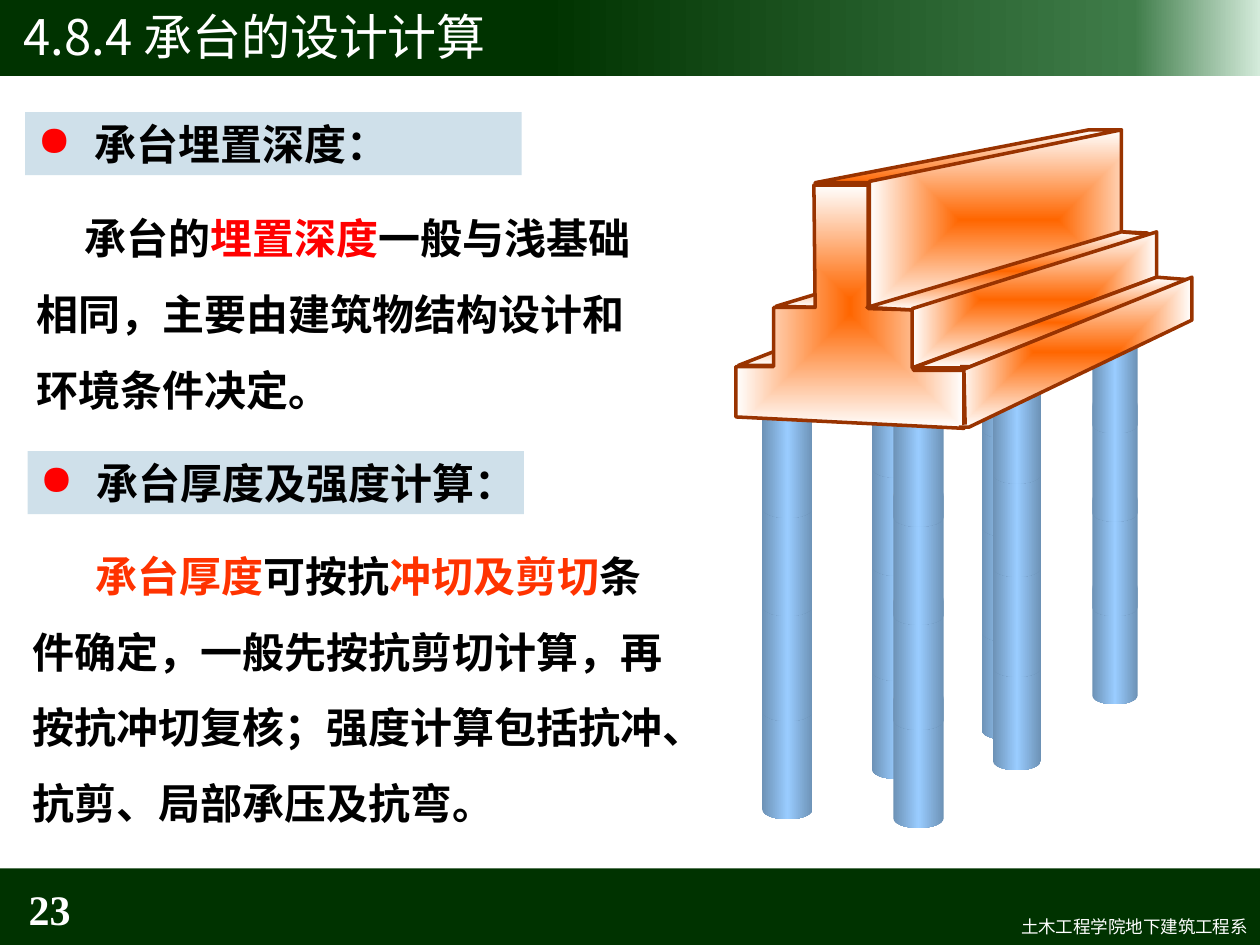
from pptx import Presentation
from pptx.dml.color import RGBColor
from pptx.enum.shapes import MSO_SHAPE
from pptx.enum.text import MSO_ANCHOR, PP_ALIGN
from pptx.oxml import parse_xml
from pptx.oxml.ns import nsdecls, qn
from pptx.util import Pt

RECT, CAN = MSO_SHAPE.RECTANGLE, MSO_SHAPE.CAN
TOP, MID = MSO_ANCHOR.TOP, MSO_ANCHOR.MIDDLE
LEFT, RIGHT = PP_ALIGN.LEFT, PP_ALIGN.RIGHT

THEME = {
    "sans": "Noto Sans CJK SC", "serif": "Times New Roman",
    "title": 28, "body": 24, "foot": 10,
    "dark": "003300", "white": "FFFFFF", "black": "000000",
    "red": "FF0000", "orange": "FF3300", "panel": "CFE0EA", "edge": "993300",
    "bar": [(43, "003300"), (90, "3F7C49"), (100, "D4EBDB")],
    "pile": [(0, "6D92B6"), (50, "99CCFF"), (100, "6D92B6")],
    "glow": [(0, "FF6600"), (100, "FFFFFF")],
    "top": [(0, "FFFFFF"), (100, "FF6600")],
}

TITLE = [("4.8.4 承台的设计计算", "white")]
NUMBER = [("23", "white")]
FOOTER = [("土木工程学院地下建筑工程系", "white")]
HEADS = [  # left, top, words
    (14.4, 64.1, "承台埋置深度："),
    (15.8, 257.8, "承台厚度及强度计算："),
]
BODIES = [  # box, first-line indent, runs
    ((13.7, 103.7, 358.6, 150.5), 27.5, [
        ("承台的", "black"), ("埋置深度", "red"),
        ("一般与浅基础相同，主要由建筑物结构设计和环境条件决定。", "black")]),
    ((11.5, 296.6, 375.1, 181.4), 36, [
        ("承台厚度", "orange"), ("可按抗", "black"), ("冲切及剪切", "orange"),
        ("条件确定，一般先按抗剪切计算，再按抗冲切复核；"
         "强度计算包括抗冲、抗剪、局部承压及抗弯。", "black")]),
]

PILES = [  # left, top, width; from back to front
    (560.9, 170.6, 28.8), (624.2, 175.7, 25.9), (498.2, 193, 28.8),
    (567.4, 200.2, 27.4), (435.6, 216, 28.8), (510.5, 221, 28.8),
]
STEPS = (2.15, 1.45, 0.7, 0)  # drum offsets in drum heights, lowest first
DRUM = 2.78  # drum height over width

FACES = [  # fill, closed, corners; from back to front
    ("glow", True, [(470.2, 175.7), (443.5, 175), (589, 131), (606.2, 132.5)]),
    ("glow", False, [(450.7, 208.8), (421.9, 208.8), (555.1, 157),
                     (571.7, 158.4), (453.6, 208.1), (447.8, 208.1)]),
    ("top", True, [(497.5, 104.4), (465.8, 104.4), (622.1, 74.2), (640.8, 74.2)]),
    ("glow", True, [(506.9, 177.1), (496.8, 176.4), (496.8, 103.7),
                    (640.8, 74.2), (640.8, 132.5), (655.9, 133.2)]),
    ("glow", True, [(496.1, 176.4), (496.1, 105.8), (465.1, 105.8),
                    (465.8, 175.7), (442.1, 175.7), (442.1, 209.5),
                    (420.5, 209.5), (420.5, 238.3), (550.8, 244.8),
                    (550.8, 211.7), (522, 211.7), (522, 177.1)]),
    ("glow", True, [(521.3, 177.1), (495.4, 175.7), (640.8, 132.5), (657.4, 133.9)]),
    ("glow", True, [(521.3, 210.2), (521.3, 176.4), (661, 132.5), (661, 158.4)]),
    ("glow", False, [(551.5, 210.2), (522, 210.2), (661, 158.4),
                     (679, 159.8), (554.4, 209.5), (548.6, 209.5)]),
    ("glow", False, [(551.5, 242.6), (550.8, 211), (681.1, 158.4),
                     (681.1, 182.9), (553.7, 244.1), (547.9, 244.1)]),
]


def color(name):
    return RGBColor.from_string(THEME[name])


def shade(shape, name):
    """Fill with a theme gradient: "glow" spreads from the centre, others run straight."""
    stops = "".join(f'<a:gs pos="{pos * 1000}"><a:srgbClr val="{rgb}"/></a:gs>'
                    for pos, rgb in THEME[name])
    if name == "glow":
        way = ('<a:path path="rect"><a:fillToRect l="50000" t="50000" '
               'r="50000" b="50000"/></a:path>')
    else:
        way = f'<a:lin ang="{5400000 if name == "top" else 0}" scaled="0"/>'
    shape.fill.gradient()
    props = shape.element.spPr
    props.replace(props.find(qn("a:gradFill")), parse_xml(
        f'<a:gradFill {nsdecls("a")} rotWithShape="1">'
        f'<a:gsLst>{stops}</a:gsLst>{way}</a:gradFill>'))


def block(shapes, kind, box, fill):
    shape = shapes.add_shape(kind, *map(Pt, box))
    shape.shadow.inherit = False
    shape.line.fill.background()
    if isinstance(THEME[fill], list):
        shade(shape, fill)
    else:
        shape.fill.solid()
        shape.fill.fore_color.rgb = color(fill)
    return shape


def write(shape, runs, size, face="sans", bold=False, align=LEFT, anchor=TOP,
          margin=0, indent=0, space=None, bullet=None):
    frame = shape.text_frame
    frame.word_wrap = True
    frame.vertical_anchor = anchor
    para = frame.paragraphs[0]
    para.alignment = align
    props = para._p.get_or_add_pPr()
    props.set("marL", str(Pt(margin)))
    props.set("indent", str(Pt(indent)))
    if bullet:
        props.append(parse_xml(f'<a:buClr {nsdecls("a")}>'
                               f'<a:srgbClr val="{THEME["red"]}"/></a:buClr>'))
        props.append(parse_xml(f'<a:buChar {nsdecls("a")} char="{bullet}"/>'))
    if space:
        para.line_spacing = space
    font = para.font
    font.name, font.size, font.bold = THEME[face], Pt(THEME[size]), bold
    props.find(qn("a:defRPr")).append(parse_xml(
        f'<a:ea {nsdecls("a")} typeface="{THEME["sans"]}"/>'))
    for words, tint in runs:
        run = para.add_run()
        run.text = words
        run.font.color.rgb = color(tint)


def label(shapes, box, runs, size, **style):
    write(shapes.add_textbox(*map(Pt, box)), runs, size, **style)


def draw_piles(shapes):
    for left, top, width in PILES:
        high = width * DRUM
        for step in STEPS:
            drum = block(shapes, CAN, (left, top + step * high, width, high), "pile")
            drum.adjustments[0] = 0.384


def draw_cap(shapes):
    for fill, closed, corners in FACES:
        first, *rest = [(Pt(x), Pt(y)) for x, y in corners]
        pen = shapes.build_freeform(*first)
        pen.add_line_segments(rest, close=closed)
        face = pen.convert_to_shape()
        face.shadow.inherit = False
        shade(face, fill)
        face.line.color.rgb = color("edge")
        face.line.width = Pt(2)


def main():
    deck = Presentation()
    deck.slide_width, deck.slide_height = Pt(720), Pt(540)
    shapes = deck.slides.add_slide(deck.slide_layouts[6]).shapes

    block(shapes, RECT, (0, -2.2, 720, 45.7), "bar")
    block(shapes, RECT, (0, 496.3, 720, 43.7), "dark")
    label(shapes, (303, 519.8, 417, 19.4), FOOTER, "foot", align=RIGHT)
    label(shapes, (0, -2.2, 720, 45.4), TITLE, "title", anchor=MID, margin=6.5)
    label(shapes, (0, 504.7, 47.5, 28.8), NUMBER, "body", face="serif",
          bold=True, align=RIGHT, anchor=MID)

    draw_piles(shapes.add_group_shape().shapes)
    draw_cap(shapes.add_group_shape().shapes)

    for box, indent, runs in BODIES:
        label(shapes, box, runs, "body", face="serif", bold=True,
              indent=indent, space=1.5)
    for left, top, words in HEADS:
        panel = block(shapes, RECT, (left, top, 283.7, 36), "panel")
        write(panel, [(words, "black")], "body", face="serif", bold=True,
              anchor=MID, margin=32.5, indent=-32.5, bullet="●")
    deck.save("out.pptx")


if __name__ == "__main__":
    main()
